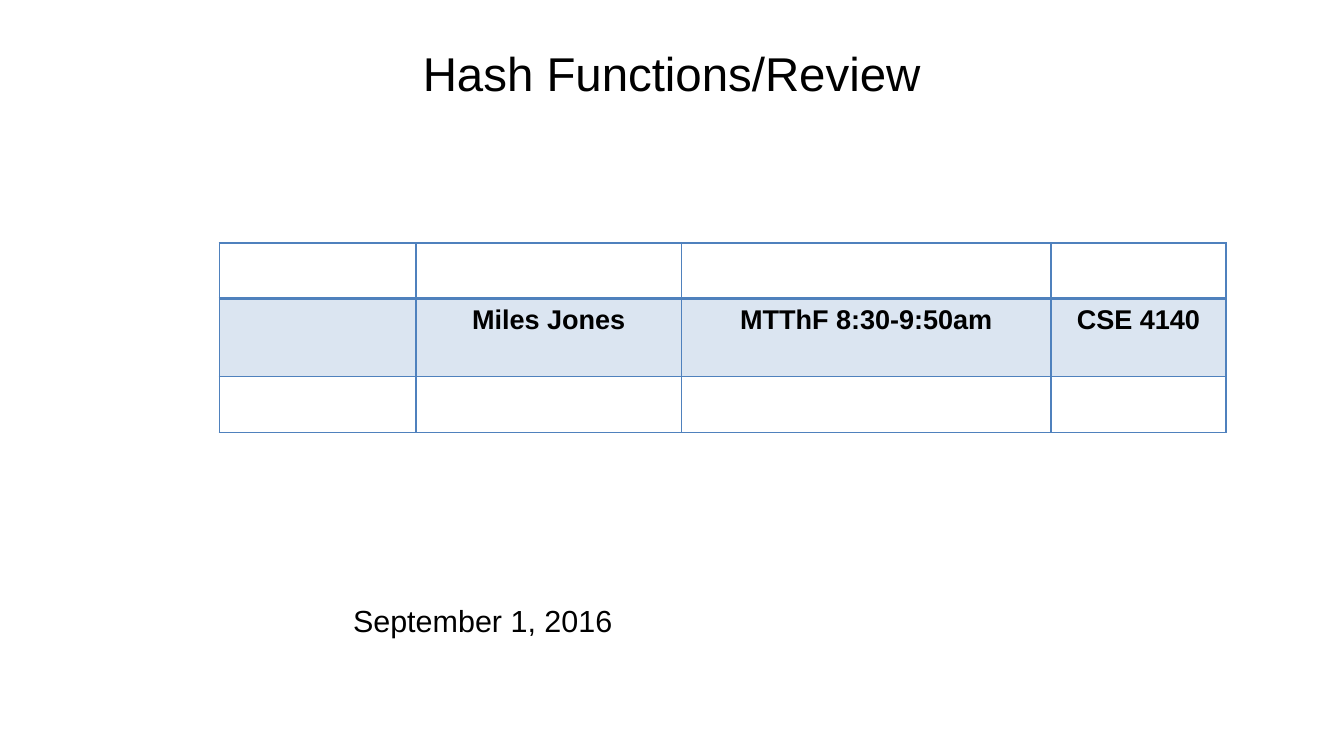
from lxml.etree import SubElement
from pptx import Presentation
from pptx.dml.color import RGBColor
from pptx.enum.text import MSO_ANCHOR as Anchor, PP_ALIGN as Align
from pptx.oxml.ns import qn
from pptx.util import Pt

BLACK = RGBColor(0x00, 0x00, 0x00)
BLUE = RGBColor(0x4F, 0x81, 0xBD)
FONT = "Arial"
COLUMN_WIDTHS = (116, 157, 218, 103.5)
ROW_HEIGHTS = (33, 46, 33)
COURSE_ROW = 1
COURSE = ("", "Miles Jones", "MTThF 8:30-9:50am", "CSE 4140")


def style_paragraph(paragraph, size, bold=False):
    """Centre a paragraph and set its font."""
    paragraph.alignment = Align.CENTER
    font = paragraph.font
    font.name, font.size, font.bold = FONT, Pt(size), bold
    font.color.rgb = BLACK


def add_label(slide, box, text, size, anchor, inset, wrap):
    """Place one line of centred text in the box."""
    frame = slide.shapes.add_textbox(*map(Pt, box)).text_frame
    frame.word_wrap = wrap
    frame.vertical_anchor = anchor
    frame.margin_left = frame.margin_right = Pt(2 * inset)
    frame.margin_top = frame.margin_bottom = Pt(inset)
    frame.text = text
    style_paragraph(frame.paragraphs[0], size)


def set_borders(cell, top, bottom):
    """Draw blue borders around a cell, with top and bottom widths in points."""
    properties = cell._tc.get_or_add_tcPr()
    for side, width in (("L", 1), ("R", 1), ("T", top), ("B", bottom)):
        line = SubElement(properties, qn(f"a:ln{side}"), w=str(Pt(width)))
        fill = SubElement(line, qn("a:solidFill"))
        SubElement(fill, qn("a:srgbClr"), val=str(BLUE))


def fill_cell(cell, tinted):
    """Give a cell a light blue tint or leave it clear."""
    if not tinted:
        cell.fill.background()
        return
    cell.fill.solid()
    cell.fill.fore_color.rgb = BLUE
    color = cell._tc.tcPr.find(qn("a:solidFill")).find(qn("a:srgbClr"))
    SubElement(color, qn("a:alpha"), val="20000")


def add_course_table(slide, left, top):
    """Build the course table with its tinted middle row."""
    size = (sum(COLUMN_WIDTHS), sum(ROW_HEIGHTS))
    table = slide.shapes.add_table(
        len(ROW_HEIGHTS), len(COLUMN_WIDTHS), *map(Pt, (left, top, *size))
    ).table
    table.first_row = table.horz_banding = False
    for column, width in zip(table.columns, COLUMN_WIDTHS):
        column.width = Pt(width)
    for index, (row, height) in enumerate(zip(table.rows, ROW_HEIGHTS)):
        row.height = Pt(height)
        is_course = index == COURSE_ROW
        for cell, text in zip(row.cells, COURSE):
            set_borders(cell, 2 if is_course else 1, 2 if index == 0 else 1)
            fill_cell(cell, is_course)
            if is_course and text:
                cell.text = text
                style_paragraph(cell.text_frame.paragraphs[0], 16, bold=True)


def main():
    """Build and save the title slide."""
    presentation = Presentation()
    presentation.slide_width, presentation.slide_height = Pt(793.5), Pt(446.5)
    slide = presentation.slides.add_slide(presentation.slide_layouts[6])
    add_label(slide, (39.5, 17.5, 714, 51), "Hash Functions/Review", 28,
              Anchor.MIDDLE, 0, True)
    add_course_table(slide, 129.5, 143.5)
    add_label(slide, (200.5, 286.5, 169, 94.5), "September 1, 2016", 18,
              Anchor.BOTTOM, 3.6, False)
    presentation.save("out.pptx")


if __name__ == "__main__":
    main()
